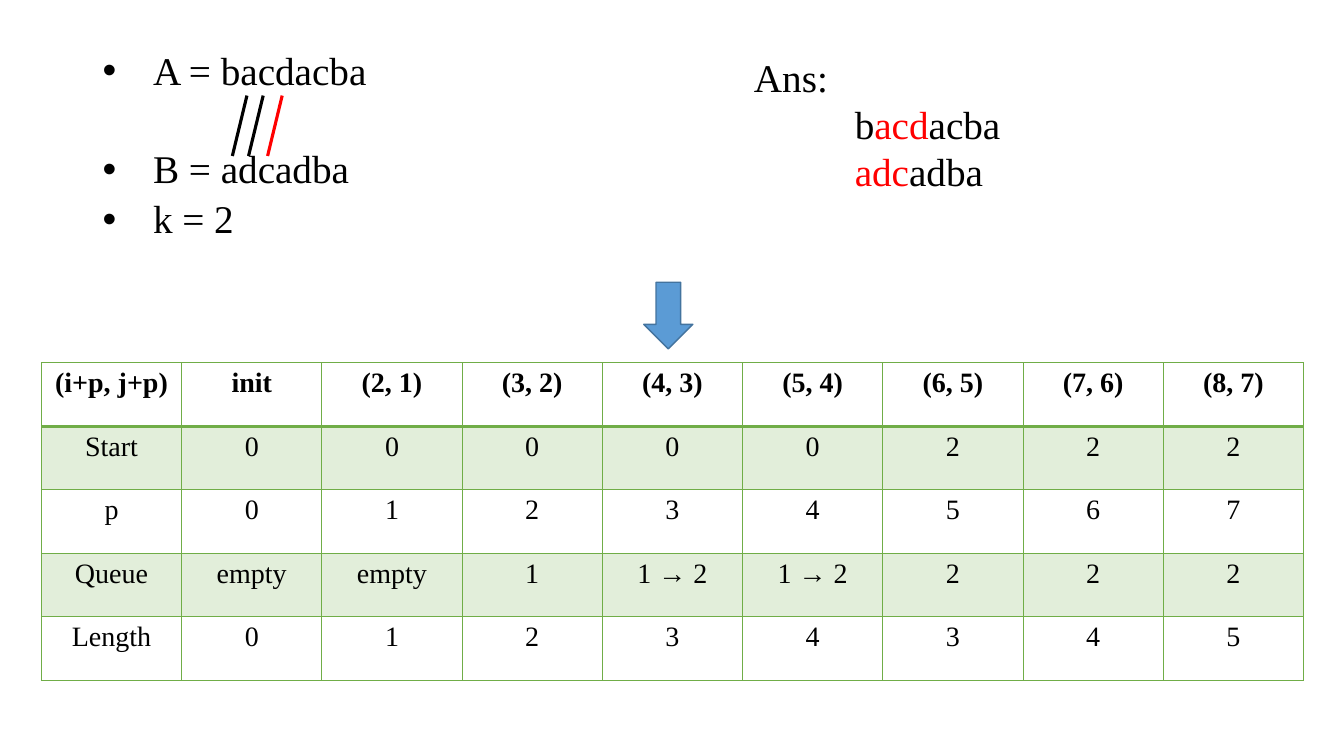
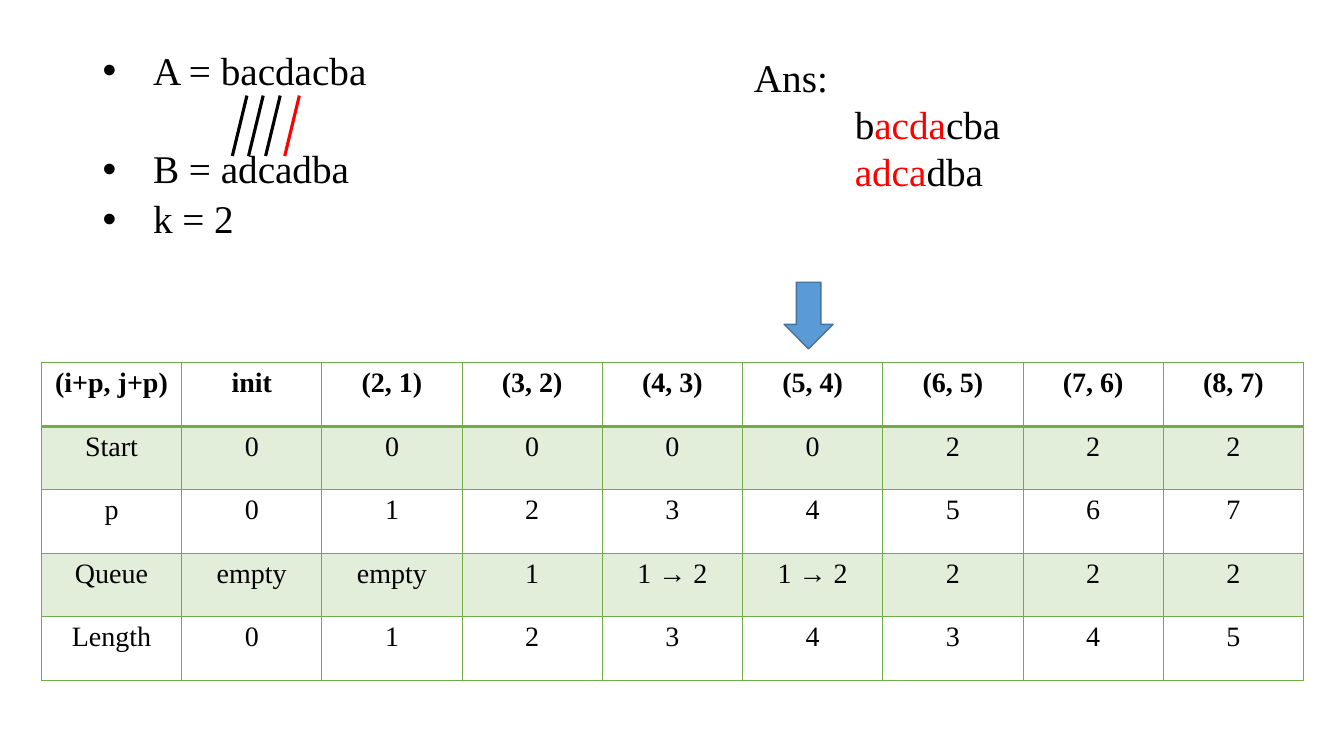
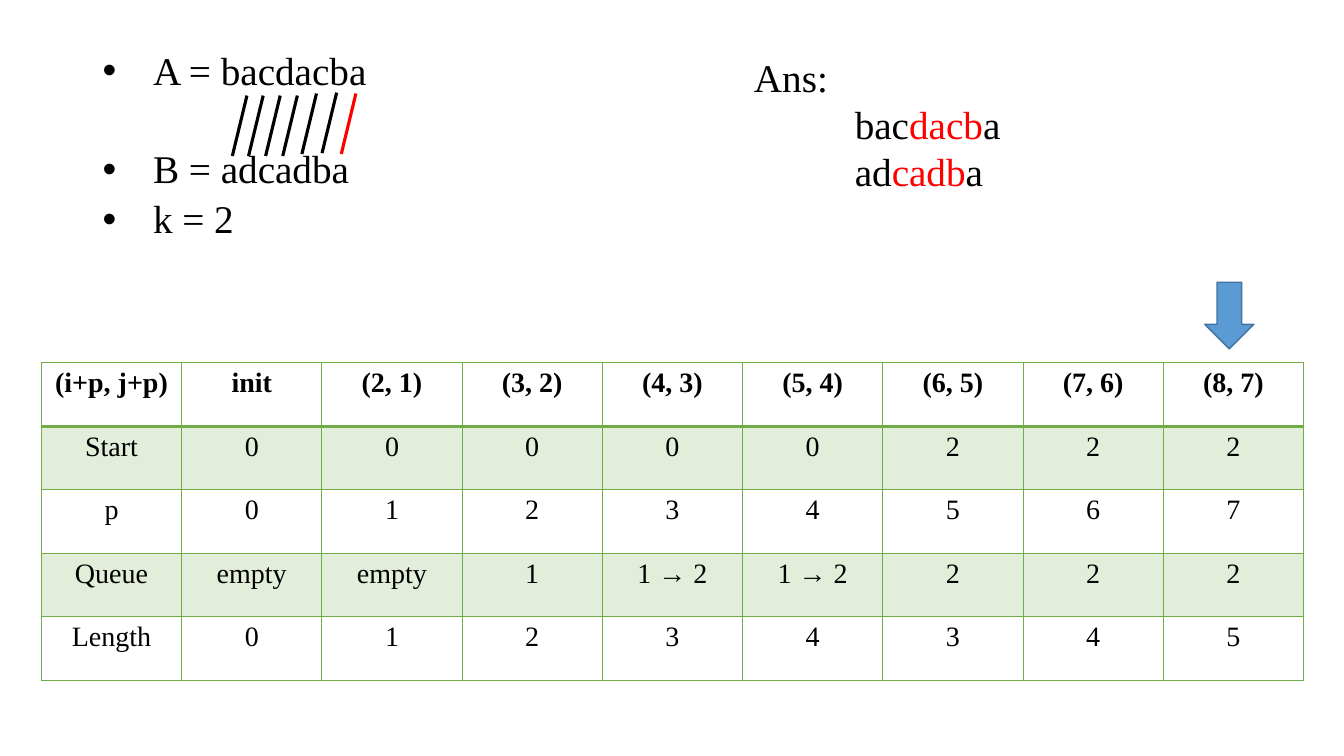
from collections import namedtuple

from lxml.etree import SubElement
from pptx import Presentation
from pptx.dml.color import RGBColor
from pptx.enum.shapes import MSO_CONNECTOR, MSO_SHAPE
from pptx.enum.text import MSO_AUTO_SIZE, PP_ALIGN
from pptx.oxml.ns import qn
from pptx.util import Inches, Pt

SLIDE_WIDTH, SLIDE_HEIGHT = Inches(13.33), Inches(7.5)
BLACK, RED, GREEN = "000000", "FF0000", "70AD47"
ARROW_BLUE, ARROW_EDGE = "5B9BD5", "43739E"
TEXT = {"name": "Times New Roman", "size": Pt(28)}
CELL_TEXT = {"name": "Times New Roman", "size": Pt(20)}

STRING_A, STRING_B = "bacdacba", "adcadba"
TABLE_ROWS = [
    ["(i+p, j+p)", "init"] + [f"({p + 1}, {p})" for p in range(1, 8)],
    ["Start", "0", "0", "0", "0", "0", "2", "2", "2"],
    ["p"] + [str(p) for p in range(8)],
    ["Queue", "empty", "empty", "1", "1 → 2", "1 → 2", "2", "2", "2"],
    ["Length", "0", "1", "2", "3", "4", "3", "4", "5"],
]

# Top ends of the links between the strings, in percent of the problem box
LINK_TOPS = [(13.3, 16.9), (14.7, 16.9), (16.17, 16.9), (17.65, 16.9),
             (19.3, 16.2), (21.04, 15.9), (22.53, 16.2)]
LINK_SLANT, LINK_HEIGHT = 1.26, 20.76

Box = namedtuple("Box", "left top width height")
# p: step reached, start: first matched letter of A, length: letters matched
Step = namedtuple("Step", "p start length")
STEPS = [Step(3, 1, 3), Step(4, 1, 4), Step(7, 3, 4)]


def share(box, x, y):
    """Point at x and y percent of a box."""
    return (int(box.left + box.width * x / 100),
            int(box.top + box.height * y / 100))


def slide_box(left, top, width, height):
    """Box given in percent of the slide."""
    whole = Box(0, 0, SLIDE_WIDTH, SLIDE_HEIGHT)
    return Box(*share(whole, left, top), *share(whole, width, height))


PROBLEM_BOX = slide_box(6.9, 6.13, 86.27, 38.53)
ANSWER_BOX = slide_box(55.36, 6.4, 28.58, 20.13)
TABLE_BOX = slide_box(3.08, 48, 93.92, 42)


def color(hex_string):
    return RGBColor.from_string(hex_string)


def add_run(paragraph, text, style, hex_string=BLACK):
    run = paragraph.add_run()
    run.text = text
    for name, value in style.items():
        setattr(run.font, name, value)
    run.font.color.rgb = color(hex_string)


def add_text_box(slide, box, lines):
    """Text box with one empty paragraph for each line to be filled."""
    frame = slide.shapes.add_textbox(*box).text_frame
    frame.word_wrap = True
    paragraphs = [frame.paragraphs[0]]
    paragraphs += [frame.add_paragraph() for _ in range(lines - 1)]
    return frame, paragraphs


def indent(paragraph, margin, first_line=0):
    properties = paragraph._p.get_or_add_pPr()
    properties.set("marL", str(Inches(margin)))
    properties.set("indent", str(Inches(first_line)))
    return properties


def add_problem(slide, box):
    lines = [(f"A = {STRING_A}", 0), (f"B = {STRING_B}", 40.2), ("k = 2", 5.6)]
    _, paragraphs = add_text_box(slide, box, len(lines))
    for paragraph, (text, space) in zip(paragraphs, lines):
        properties = indent(paragraph, 0.5, -0.5)
        SubElement(properties, qn("a:buFont"), typeface="Arial")
        SubElement(properties, qn("a:buChar"), char="•")
        paragraph.line_spacing = 0.9
        paragraph.space_before = Pt(space)
        add_run(paragraph, text, TEXT)


def add_links(slide, box, count):
    """Slanted lines joining the compared letters, the latest one in red."""
    for number, (x, y) in enumerate(LINK_TOPS[:count], start=1):
        latest = number == count
        start = share(box, x + (0.17 if latest else 0), y)
        end = share(box, x + (0.17 if latest else 0) - LINK_SLANT, y + LINK_HEIGHT)
        link = slide.shapes.add_connector(MSO_CONNECTOR.STRAIGHT, *start, *end)
        link.line.color.rgb = color(RED if latest else BLACK)
        link.line.width = Pt(2.25)
        SubElement(link._element.spPr, qn("a:effectLst"))


def add_answer(slide, box, step):
    frame, paragraphs = add_text_box(slide, box, 3)
    frame.auto_size = MSO_AUTO_SIZE.SHAPE_TO_FIT_TEXT
    add_run(paragraphs[0], "Ans:", TEXT)
    matches = [(STRING_A, step.start), (STRING_B, step.start - 1)]
    for paragraph, (string, start) in zip(paragraphs[1:], matches):
        indent(paragraph, 1)
        end = start + step.length
        parts = [(string[:start], BLACK), (string[start:end], RED),
                 (string[end:], BLACK)]
        for text, hex_string in parts:
            if text:
                add_run(paragraph, text, TEXT, hex_string)


def set_borders(cell, widths):
    properties = cell._tc.get_or_add_tcPr()
    for side, width in widths.items():
        line = SubElement(properties, qn(f"a:ln{side}"), w=str(Pt(width)))
        fill = SubElement(line, qn("a:solidFill"))
        SubElement(fill, qn("a:srgbClr"), val=GREEN)


def fill_cell(cell, tinted):
    if not tinted:
        cell.fill.background()
        return
    cell.fill.solid()
    cell.fill.fore_color.rgb = color(GREEN)
    green = cell._tc.tcPr.find(f"{qn('a:solidFill')}/{qn('a:srgbClr')}")
    SubElement(green, qn("a:alpha"), val="20000")


def add_step_table(slide, box):
    rows, columns = len(TABLE_ROWS), len(TABLE_ROWS[0])
    table = slide.shapes.add_table(rows, columns, *box).table
    table.first_row = table.horz_banding = False
    for row, texts in enumerate(TABLE_ROWS):
        for column, text in enumerate(texts):
            cell = table.cell(row, column)
            set_borders(cell, {"L": 1, "R": 1, "T": 2 if row == 1 else 1,
                               "B": 2 if row == 0 else 1})
            fill_cell(cell, tinted=row % 2 == 1)
            paragraph = cell.text_frame.paragraphs[0]
            paragraph.alignment = PP_ALIGN.CENTER
            add_run(paragraph, text, {**CELL_TEXT, "bold": row == 0})


def add_step_arrow(slide, box, column):
    """Arrow above one column of the table in the box."""
    column_width = box.width / len(TABLE_ROWS[0])
    row_height = box.height / len(TABLE_ROWS)
    width, height = 0.35 * column_width, 1.05 * row_height
    center = box.left + (column + 0.47) * column_width
    place = (center - width / 2, box.top - 1.27 * row_height, width, height)
    arrow = slide.shapes.add_shape(MSO_SHAPE.DOWN_ARROW, *map(int, place))
    arrow.shadow.inherit = False
    arrow.fill.solid()
    arrow.fill.fore_color.rgb = color(ARROW_BLUE)
    arrow.line.color.rgb = color(ARROW_EDGE)
    arrow.line.width = Pt(1)


def add_step_slide(presentation, step):
    slide = presentation.slides.add_slide(presentation.slide_layouts[6])
    add_step_table(slide, TABLE_BOX)
    add_problem(slide, PROBLEM_BOX)
    add_answer(slide, ANSWER_BOX, step)
    add_step_arrow(slide, TABLE_BOX, step.p + 1)
    add_links(slide, PROBLEM_BOX, step.p)


def main():
    presentation = Presentation()
    presentation.slide_width = SLIDE_WIDTH
    presentation.slide_height = SLIDE_HEIGHT
    for step in STEPS:
        add_step_slide(presentation, step)
    presentation.save("out.pptx")


if __name__ == "__main__":
    main()
